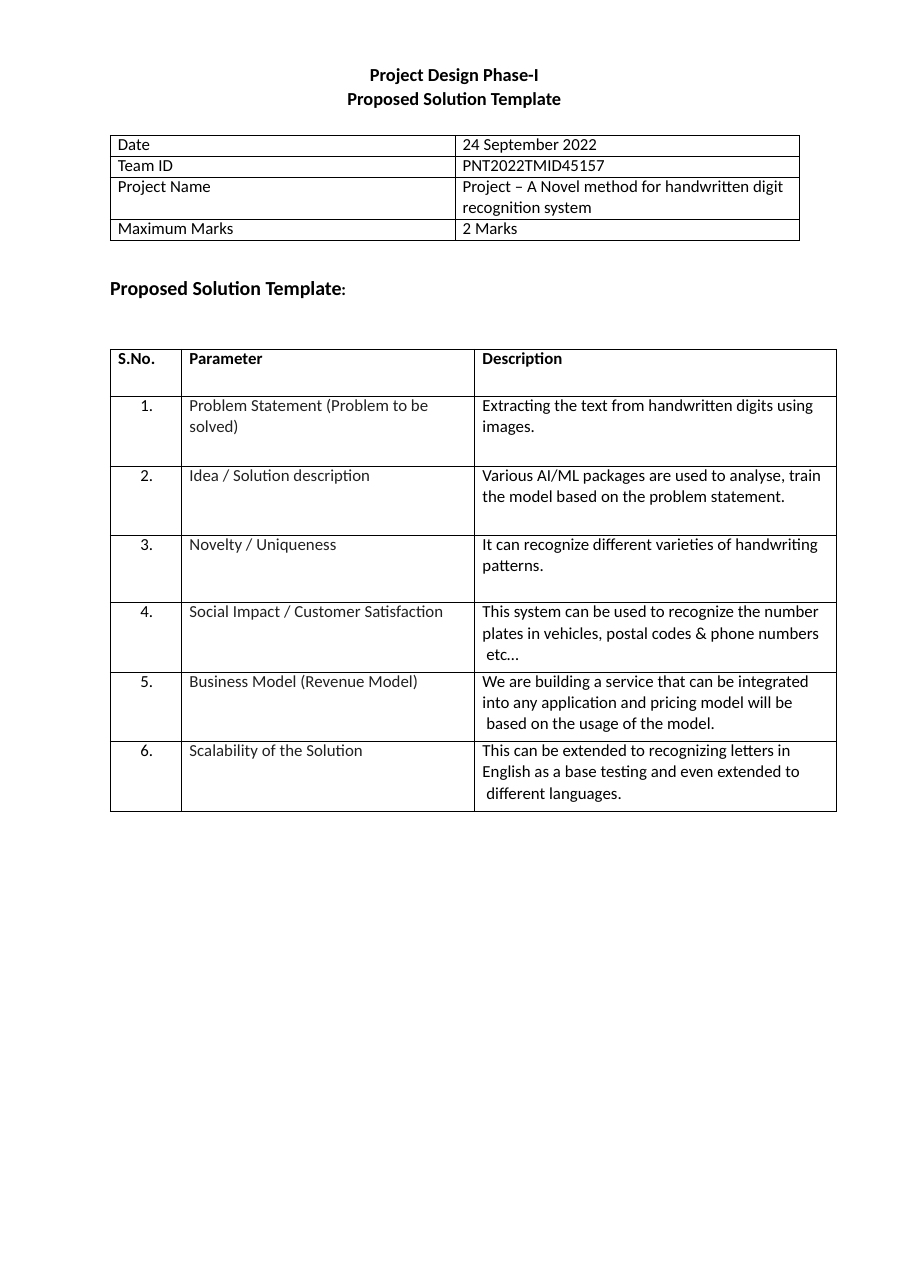
from lxml import etree
from pptx import Presentation
from pptx import util as u
from pptx.dml.color import RGBColor
from pptx.enum import text
from pptx.oxml.ns import qn

PX = 9144  # 100 px to the inch
FONT = "Calibri"
BLACK, GREY = "000000", "212121"
LEFT, RIGHT, CENTER = text.PP_ALIGN.LEFT, text.PP_ALIGN.RIGHT, text.PP_ALIGN.CENTER
FIRST_LINE = {"line_spacing": u.Pt(12.8)}
NEXT_LINE = {"space_before": u.Pt(0.2)}

PROJECT_ROWS = [
    ("Date", "24 September 2022"),
    ("Team ID", "PNT2022TMID45157"),
    ("Project Name", "Project – A Novel method for handwritten digit\nrecognition system"),
    ("Maximum Marks", "2 Marks"),
]
SOLUTION_HEADER = ("S.No.", "Parameter", "Description")
SOLUTION_ROWS = [
    ("Problem Statement (Problem to be\nsolved)",
     "Extracting the text from handwritten digits using\nimages."),
    ("Idea / Solution description",
     "Various AI/ML packages are used to analyse, train\n"
     "the model based on the problem statement."),
    ("Novelty / Uniqueness",
     "It can recognize different varieties of handwriting\npatterns."),
    ("Social Impact / Customer Satisfaction",
     "This system can be used to recognize the number\n"
     "plates in vehicles, postal codes & phone numbers\v etc…"),
    ("Business Model (Revenue Model)",
     "We are building a service that can be integrated\n"
     "into any application and pricing model will be\v based on the usage of the model."),
    ("Scalability of the Solution",
     "This can be extended to recognizing letters in\n"
     "English as a base testing and even extended to\v different languages."),
]


def px(length):
    return u.Emu(length * PX)


def color(value):
    return RGBColor.from_string(value)


def set_values(target, values):
    for name, value in values.items():
        setattr(target, name, value)


def style_span(span, size, bold, ink):
    set_values(span.font, {"name": FONT, "size": u.Pt(size), "bold": bold})
    span.font.color.rgb = color(ink)


def add_text_box(page, box, spans, **layout):
    """Place one bold paragraph made of (wording, size) spans."""
    frame = page.shapes.add_textbox(*map(px, box)).text_frame
    set_values(frame, {"word_wrap": True, "margin_left": 0, "margin_right": 0,
                       "margin_top": px(1), "margin_bottom": 0})
    para = frame.paragraphs[0]
    set_values(para, layout)
    for wording, size in spans:
        for number, line in enumerate(wording.split("\n")):
            if number:
                para.add_line_break()
            span = para.add_run()
            span.text = line
            style_span(span, size, True, BLACK)


def set_borders(cell, widths):
    properties = cell._tc.get_or_add_tcPr()
    for side, width in zip("LRTB", widths):
        line = etree.SubElement(properties, qn(f"a:ln{side}"), w=str(u.Pt(width)))
        fill = etree.SubElement(line, qn("a:solidFill"))
        etree.SubElement(fill, qn("a:srgbClr"), val=BLACK)


def fill_cell(cell, wording, borders, bold=False, ink=BLACK, align=LEFT, indent=7):
    set_values(cell, {"margin_left": 0, "margin_right": 0,
                      "margin_top": 0, "margin_bottom": 0})
    set_values(cell, {"margin_right" if align == RIGHT else "margin_left": px(indent)})
    set_borders(cell, borders)
    cell.fill.background()
    frame = cell.text_frame
    frame.text = wording
    for number, para in enumerate(frame.paragraphs):
        set_values(para, NEXT_LINE if number else FIRST_LINE)
        para.alignment = align
        for span in para.runs:
            style_span(span, 11, bold, ink)
        # Line breaks keep the height of the text around them
        for line_break in para._p.findall(qn("a:br")):
            etree.SubElement(line_break, qn("a:rPr"), sz="1100")
            para.line_spacing = 1.02


def add_grid(page, box, widths, heights):
    table = page.shapes.add_table(len(heights), len(widths), *map(px, box)).table
    set_values(table, {"first_row": False, "horz_banding": False})
    for column, width in zip(table.columns, widths):
        column.width = px(width)
    for row, height in zip(table.rows, heights):
        row.height = px(height)
    return table


def add_project_table(page, box):
    half = box[2] // 2
    table = add_grid(page, box, [half, half], [19, 19, 38, 19])
    for row, wordings in enumerate(PROJECT_ROWS):
        for column, wording in enumerate(wordings):
            fill_cell(table.cell(row, column), wording, [0.5] * 4)


def add_solution_table(page, box):
    table = add_grid(page, box, [65, 266, box[2] - 331], [43, 63, 63, 61, 63, 63, 63])
    borders = [(0.5,) * 4, (0.5, 0.75, 0.5, 0.5), (0.75, 0.5, 0.5, 0.5)]
    numbered = [(f"{number}.", *row) for number, row in enumerate(SOLUTION_ROWS, 1)]
    for row, wordings in enumerate([SOLUTION_HEADER, *numbered]):
        header = row == 0
        formats = [{"align": RIGHT, "indent": 24 if header else 26},
                   {"ink": BLACK if header else GREY}, {}]
        for column, wording in enumerate(wordings):
            fill_cell(table.cell(row, column), wording, borders[column],
                      bold=header, **formats[column])


def main():
    deck = Presentation()
    set_values(deck, {"slide_width": px(826), "slide_height": px(1169)})
    page = deck.slides.add_slide(deck.slide_layouts[6])
    # Title
    add_text_box(page, (314, 55, 197, 46),
                 [("Project Design Phase-I\nProposed Solution Template", 12)],
                 alignment=CENTER, line_spacing=1.09, space_before=u.Pt(1))
    # Project facts
    add_project_table(page, (100, 123, 626, 96))
    # Section heading
    add_text_box(page, (100, 249, 219, 24),
                 [("Proposed Solution Template", 13), (":", 11)], space_before=u.Pt(0.9))
    # Solution parameters
    add_solution_table(page, (100, 317, 659, 421))
    deck.save("out.pptx")


if __name__ == "__main__":
    main()
